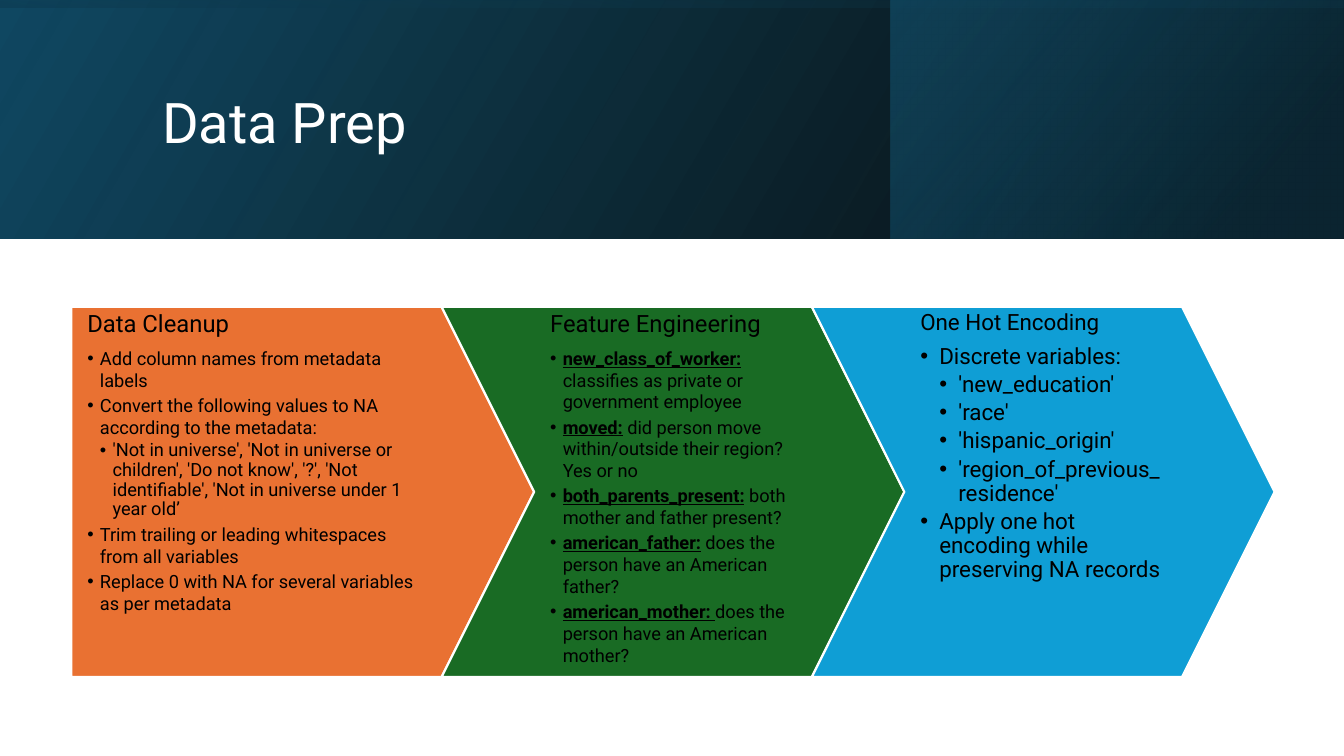
"""Build the Data Prep slide: a gradient banner above three process arrows."""
from dataclasses import dataclass

from lxml import etree
from pptx import Presentation
from pptx.dml.color import RGBColor
from pptx.enum import shapes, text
from pptx.oxml import parse_xml
from pptx.oxml.ns import nsdecls, qn
from pptx.util import Cm, Pt

BLACK = RGBColor(0x00, 0x00, 0x00)
WHITE = RGBColor(0xFF, 0xFF, 0xFF)
NAVY = RGBColor(0x10, 0x48, 0x62)
DEEP = RGBColor(0x0B, 0x30, 0x41)
TEAL = RGBColor(0x15, 0x60, 0x82)
ORANGE = RGBColor(0xE9, 0x71, 0x32)
GREEN = RGBColor(0x19, 0x6B, 0x24)
BLUE = RGBColor(0x0F, 0x9E, 0xD5)
FONT = "Roboto"
WIDE, HIGH = 33.87, 19.05
LEFT, TOP, STEP, SPAN = 1.8, 7.73, 9.33, 11.66
NOTCH = STEP / 4


@dataclass
class Stop:
    pos: int
    color: RGBColor
    alpha: int


@dataclass
class Band:
    box: tuple[float, float, float, float]
    angle: int
    stops: tuple[Stop, Stop]
    turn: int = 0


@dataclass
class Item:
    body: str
    lead: str = ""
    level: int = 1
    space: float = 1.0


@dataclass
class Panel:
    head: str
    color: RGBColor
    size: int
    items: list[Item]
    head_size: int = 17
    hang: float = 0.32
    kind: shapes.MSO_SHAPE = shapes.MSO_SHAPE.CHEVRON
    shift: float = NOTCH
    width: float = 7.0
    right: float = 0.4


BANDS = [
    Band((0, 0, WIDE, 6.02), 330, (Stop(0, BLACK, 96), Stop(100, NAVY, 100))),
    Band((22.45, 0, 11.4, 6.02), 320, (Stop(19, DEEP, 68), Stop(100, TEAL, 48))),
    Band((13.92, -13.92, 6.02, WIDE), 350, (Stop(23, NAVY, 16), Stop(99, BLACK, 45)), 270),
]

PANELS = [
    Panel("Data Cleanup", ORANGE, 13, [
        Item("Add column names from metadata labels"),
        Item("Convert the following values to NA according to the metadata:"),
        Item("'Not in universe', 'Not in universe or children', 'Do not know', '?', "
             "'Not identifiable', 'Not in universe under 1 year old’", level=2, space=0.9),
        Item("Trim trailing or leading whitespaces from all variables"),
        Item("Replace 0 with NA for several variables as per metadata"),
    ], kind=shapes.MSO_SHAPE.PENTAGON, shift=0, width=10.49, right=1.65),
    Panel("Feature Engineering", GREEN, 13, [
        Item(" classifies as private or government employee", "new_class_of_worker:"),
        Item(" did person move within/outside their region? Yes or no", "moved:"),
        Item(" both mother and father present?", "both_parents_present:"),
        Item(" does the person have an American father?", "american_father:"),
        Item("does the person have an American mother?", "american_mother: "),
    ]),
    Panel("One Hot Encoding", BLUE, 16, [
        Item("Discrete variables:", space=0.9),
        *(Item(f"'{name}'", level=2, space=0.9) for name in (
            "new_education", "race", "hispanic_origin", "region_of_previous_residence")),
        Item("Apply one hot encoding while preserving NA records", space=0.9),
    ], head_size=16, hang=0.48),
]


def add_frame(slide, left: float, top: float, width: float, height: float,
              pads: tuple[float, float, float, float], anchor=text.MSO_ANCHOR.TOP):
    """Add a wrapping text box and return its text frame."""
    frame = slide.shapes.add_textbox(Cm(left), Cm(top), Cm(width), Cm(height)).text_frame
    frame.word_wrap = True
    frame.vertical_anchor = anchor
    frame.margin_left, frame.margin_top, frame.margin_right, frame.margin_bottom = map(Cm, pads)
    return frame


def write(par, body: str, *, size: int, color: RGBColor = BLACK, lead: str = "",
          space: float = 0.9, after: float = 0, level: int = 0, hang: float = 0) -> None:
    """Fill a paragraph, with an underlined lead and a bullet if asked."""
    if level:
        props = par._p.get_or_add_pPr()
        props.set("marL", str(Cm(hang * level)))
        props.set("indent", str(-Cm(hang)))
        etree.SubElement(props, qn("a:buFont")).set("typeface", "Arial")
        etree.SubElement(props, qn("a:buChar")).set("char", "•")
    par.line_spacing = space
    par.space_before = Pt(0)
    par.space_after = Pt(after)
    for part, strong in ((lead, True), (body, False)):
        if part:
            run = par.add_run()
            run.text = part
            font = run.font
            font.name, font.size, font.color.rgb = FONT, Pt(size), color
            font.bold = font.underline = strong


def draw_band(slide, band: Band) -> None:
    """Draw one mirrored gradient layer of the banner."""
    shape = slide.shapes.add_shape(shapes.MSO_SHAPE.RECTANGLE, *map(Cm, band.box))
    shape.rotation = band.turn
    props = shape._element.spPr
    props.xfrm.set("flipH", "1")
    stops = "".join(
        f'<a:gs pos="{s.pos * 1000}"><a:srgbClr val="{s.color}">'
        f'<a:alpha val="{s.alpha * 1000}"/></a:srgbClr></a:gs>' for s in band.stops)
    props.append(parse_xml(
        f'<a:gradFill {nsdecls("a")} rotWithShape="1"><a:gsLst>{stops}</a:gsLst>'
        f'<a:lin ang="{band.angle * 60000}" scaled="0"/></a:gradFill>'))
    shape.line.fill.background()
    shape.shadow.inherit = False


def draw_panel(slide, panel: Panel, left: float) -> None:
    """Draw one arrow with its heading and bullets."""
    shape = slide.shapes.add_shape(panel.kind, Cm(left), Cm(TOP), Cm(SPAN), Cm(STEP))
    shape.adjustments[0] = 0.25
    shape.fill.solid()
    shape.fill.fore_color.rgb = panel.color
    shape.line.color.rgb = WHITE
    shape.line.width = Pt(1.5)
    shape.shadow.inherit = False
    frame = add_frame(slide, left + panel.shift, TOP, panel.width, STEP,
                      (0.4, 0.12, panel.right, 0.12))
    write(frame.paragraphs[0], panel.head, size=panel.head_size, after=panel.head_size * 0.41)
    for item in panel.items:
        write(frame.add_paragraph(), item.body, lead=item.lead, size=panel.size,
              space=item.space, after=panel.size * 0.18, level=item.level, hang=panel.hang)


def main() -> None:
    """Build and save the slide."""
    deck = Presentation()
    deck.slide_width, deck.slide_height = Cm(WIDE), Cm(HIGH)
    slide = deck.slides.add_slide(deck.slide_layouts[6])
    for band in BANDS:
        draw_band(slide, band)
    title = add_frame(slide, 3.84, 0.97, 27, 4.37, (0.25, 0.13, 0.25, 0.13),
                      text.MSO_ANCHOR.MIDDLE)
    write(title.paragraphs[0], "Data Prep", size=40, color=WHITE)
    for index, panel in enumerate(PANELS):
        draw_panel(slide, panel, LEFT + index * STEP)
    deck.save("out.pptx")


if __name__ == "__main__":
    main()
